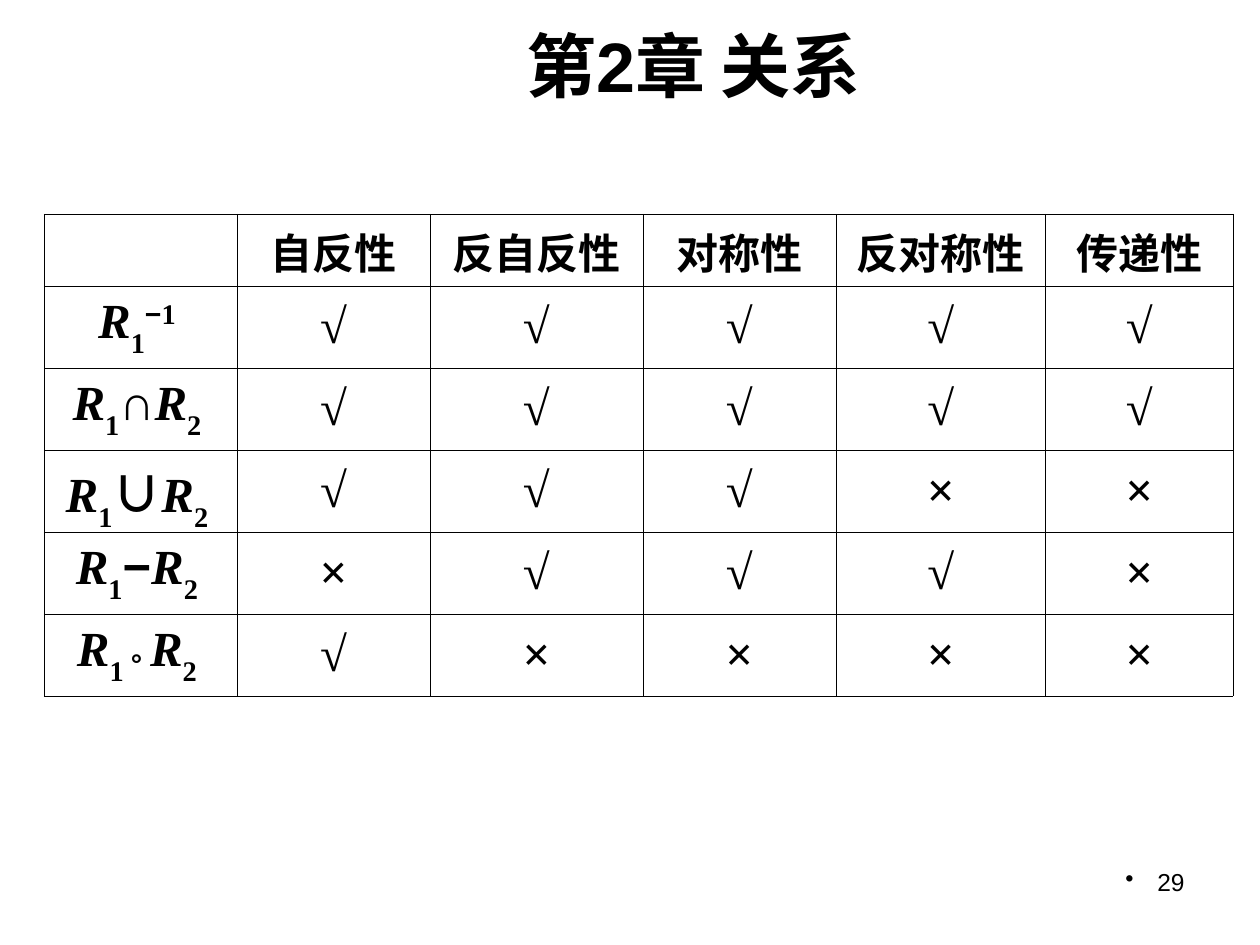
from dataclasses import dataclass
from lxml.etree import SubElement
from pptx import Presentation
from pptx.dml.color import RGBColor
from pptx.enum.text import MSO_ANCHOR, PP_ALIGN
from pptx.oxml import parse_xml
from pptx.oxml.ns import nsdecls, qn
from pptx.slide import Slide
from pptx.util import Emu, Pt

COLORS = {"ink": "000000", "paper": "FFFFFF"}
SANS, SERIF, CJK = "Arial", "Times New Roman", "Noto Sans CJK SC"
COLUMN_WIDTHS = [193, 193, 213, 193, 210, 187]
ROW_HEIGHTS = [72] + [82] * 5
PROPERTIES = ["自反性", "反自反性", "对称性", "反对称性", "传递性"]
FIRST, SECOND = [("R", SERIF, None), ("1", SERIF, -30)], [("R", SERIF, None), ("2 ", SERIF, -30)]
RELATIONS = [
    (FIRST + [("−", SANS, 30), ("1 ", SERIF, 30)], "√√√√√"),
    (FIRST + [("∩", SERIF, 0)] + SECOND, "√√√√√"),
    (FIRST + [("∪", CJK, 0)] + SECOND, "√√√××"),
    (FIRST + [("−", SANS, 0)] + SECOND, "×√√√×"),
    ([FIRST[0], ("1 ", SERIF, -30), ("° ", SANS, -16)] + SECOND, "√××××"),
]


def px(value):
    return Emu(round(value * 914400 / 126))


@dataclass
class RelationPage:
    """Style and drawing methods for the relation slide."""

    page: Slide
    ink: str = COLORS["ink"]

    def face(self, font, name):
        font.name = name
        east = SubElement(font._rPr, qn("a:ea"))
        east.set("typeface", SERIF if name == SERIF else CJK)

    def style(self, para, size, name, align, bold):
        para.alignment = align
        self.face(para.font, name)
        para.font.size = Pt(size)
        para.font.bold = bold
        para.font.color.rgb = RGBColor.from_string(self.ink)

    def text(self, words, left, top, width, height, size, align, bold=False,
             anchor=MSO_ANCHOR.TOP, bullet=False):
        frame = self.page.shapes.add_textbox(px(left), px(top), px(width), px(height)).text_frame
        frame.word_wrap = True
        frame.vertical_anchor = anchor
        para = frame.paragraphs[0]
        para.text = words
        if bullet:
            props = para._p.get_or_add_pPr()
            props.set("marL", str(px(32)))
            props.set("indent", str(-px(32)))
            props.append(parse_xml(f'<a:buChar {nsdecls("a")} char="•"/>'))
        self.style(para, size, SANS, align, bold)

    def border(self, cell, side, points):
        cell._tc.get_or_add_tcPr().append(parse_xml(
            f'<a:{side} {nsdecls("a")} w="{Pt(points)}"><a:solidFill>'
            f'<a:srgbClr val="{self.ink}"/></a:solidFill></a:{side}>'))

    def cell(self, table, row, column, spans, size, name):
        cell = table.cell(row, column)
        cell.vertical_anchor = MSO_ANCHOR.MIDDLE
        last_row, last_column = len(table.rows) - 1, len(table.columns) - 1
        outer = {"lnL": column == 0, "lnR": column == last_column,
                 "lnT": row == 0, "lnB": row == last_row}
        for side, is_outer in outer.items():
            self.border(cell, side, 0.34 if is_outer else 0.45)
        cell.fill.background()
        para = cell.text_frame.paragraphs[0]
        self.style(para, size, name, PP_ALIGN.CENTER, True)
        for words, face, baseline in spans:
            span = para.add_run()
            span.text = words
            self.face(span.font, face)
            span.font.italic = baseline is None
            if baseline:
                span.font._rPr.set("baseline", str(baseline * 1000))

    def table(self, left, top, widths, heights):
        frame = self.page.shapes.add_table(len(heights), len(widths), px(left), px(top),
                                           px(sum(widths)), px(sum(heights)))
        table = frame.table
        table.first_row = table.horz_banding = False
        for column, width in zip(table.columns, widths):
            column.width = px(width)
        for row, height in zip(table.rows, heights):
            row.height = px(height)
        return table


def main():
    deck = Presentation()
    deck.slide_width, deck.slide_height = px(1260), px(945)
    page = deck.slides.add_slide(deck.slide_layouts[6])
    page.background.fill.solid()
    page.background.fill.fore_color.rgb = RGBColor.from_string(COLORS["paper"])
    draw = RelationPage(page)
    draw.text("29", 903, 861, 294, 66, 14, PP_ALIGN.RIGHT, bullet=True)
    draw.text("第2章 关系", 272, 35, 843, 58, 40, PP_ALIGN.CENTER, True, MSO_ANCHOR.MIDDLE)
    table = draw.table(44, 214, COLUMN_WIDTHS, ROW_HEIGHTS)
    draw.cell(table, 0, 0, [], 24, SANS)
    for column, title in enumerate(PROPERTIES, 1):
        draw.cell(table, 0, column, [(title, SANS, 0)], 24, SANS)
    for row, (formula, marks) in enumerate(RELATIONS, 1):
        draw.cell(table, row, 0, formula, 28, SERIF)
        for column, mark in enumerate(marks, 1):
            draw.cell(table, row, column, [(mark, SERIF, 0)], 28, SERIF)
    deck.save("out.pptx")


if __name__ == "__main__":
    main()
